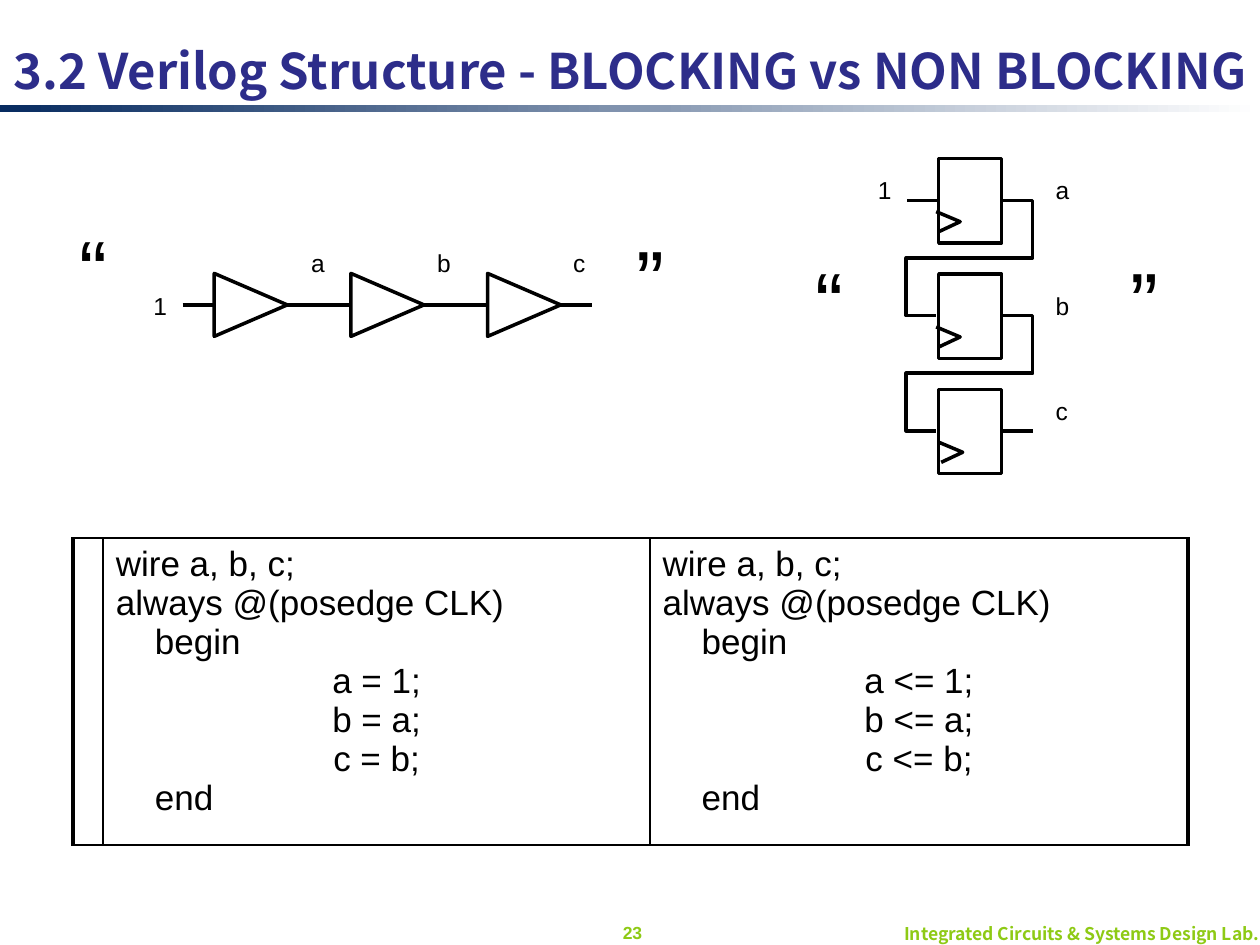
from lxml import etree
from pptx import Presentation
from pptx.dml.color import RGBColor
from pptx.enum import shapes, text
from pptx.oxml import ns
from pptx.util import Inches, Pt

COLORS = {"ink": "000000", "title": "2D2D8A", "footer": "8ECA15",
          "bar": "072B60", "paper": "FFFFFF"}
RGB = {name: RGBColor.from_string(value) for name, value in COLORS.items()}
HEADING_FONT, BODY_FONT = "Noto Sans CJK KR", "Arial"

prs = Presentation()
prs.slide_width, prs.slide_height = Inches(10), Inches(7.5)
slide = prs.slides.add_slide(prs.slide_layouts[5])


def add_label(words, left, top, width, height, size=14, font=BODY_FONT,
              color="ink", bold=False, align=text.PP_ALIGN.LEFT, wrap=True):
    box = slide.shapes.add_textbox(Inches(left), Inches(top), Inches(width), Inches(height))
    frame = box.text_frame
    frame.word_wrap = wrap
    line = frame.paragraphs[0]
    line.text, line.alignment = words, align
    line.font.size, line.font.name = Pt(size), font
    line.font.bold, line.font.color.rgb = bold, RGB[color]
    return frame


def add_wire(x1, y1, x2, y2, kind=shapes.MSO_CONNECTOR.STRAIGHT):
    wire = slide.shapes.add_connector(kind, Inches(x1), Inches(y1), Inches(x2), Inches(y2))
    wire.line.color.rgb, wire.line.width = RGB["ink"], Pt(2)
    etree.SubElement(wire._element.spPr, ns.qn("a:effectLst"))
    return wire


# Title bar and footer
bar = slide.shapes.add_shape(shapes.MSO_SHAPE.RECTANGLE, 0, Inches(0.83), Inches(10), Inches(0.06))
bar.shadow.inherit = False
bar.line.fill.background()
bar.fill.gradient()
bar.fill.gradient_angle = 0
for stop, color in zip(bar.fill.gradient_stops, ("bar", "paper")):
    stop.color.rgb = RGB[color]

lab = add_label("Integrated Circuits & Systems Design Lab.", 0.13, 7.31, 9.96, 0.19, 10,
                HEADING_FONT, "footer", True, text.PP_ALIGN.RIGHT, wrap=False)
lab.vertical_anchor = text.MSO_ANCHOR.MIDDLE
add_label("23", 4.63, 7.27, 0.78, 0.27, 10, color="footer", bold=True,
          align=text.PP_ALIGN.CENTER)

title = slide.shapes.title
title.left, title.top, title.width, title.height = 0, Inches(0.24), Inches(10), Inches(0.63)
title.text_frame.text = "3.2 Verilog Structure - BLOCKING vs NON BLOCKING"
title.text_frame.word_wrap = False
title.text_frame.auto_size = text.MSO_AUTO_SIZE.NONE
title.text_frame.vertical_anchor = text.MSO_ANCHOR.MIDDLE
heading = title.text_frame.paragraphs[0]
heading.font.size, heading.font.name = Pt(28), HEADING_FONT
heading.font.bold, heading.font.color.rgb = True, RGB["title"]

outlined = []

# Blocking: a chain of buffers
buffer_y, buffer_pitch = 2.42, 1.085
for i in range(3):
    left = 1.74 + i * buffer_pitch
    buffer = slide.shapes.add_shape(shapes.MSO_SHAPE.ISOSCELES_TRIANGLE, Inches(left),
                                    Inches(2.13), Inches(0.5), Inches(0.58))
    buffer.rotation = 90
    outlined.append(buffer)
    output_x = left + 0.54
    add_wire(output_x, buffer_y, output_x + (0.5 if i < 2 else 0.25), buffer_y)
add_wire(1.45, buffer_y, 1.7, buffer_y)
add_label("1", 1.12, 2.26, 0.33, 0.41)
for signal, left in (("a", 2.37), ("b", 3.37), ("c", 4.45)):
    add_label(signal, left, 1.92, 0.42, 0.41)

# Non-blocking: a column of flip-flops
flop_pitch = 0.915
for i, (signal, label_top, clock_x) in enumerate(
        (("a", 1.34, 7.43), ("b", 2.26, 7.43), ("c", 3.09, 7.45))):
    top = 1.26 + i * flop_pitch
    pin_y = top + 0.33
    outlined.append(slide.shapes.add_shape(shapes.MSO_SHAPE.RECTANGLE, Inches(7.45),
                                           Inches(top), Inches(0.5), Inches(0.67)))
    clock_y = top + 0.42
    clock = slide.shapes.build_freeform(Inches(clock_x), Inches(clock_y))
    clock.add_line_segments([(Inches(clock_x + 0.19), Inches(clock_y + 0.08)),
                             (Inches(clock_x + 0.02), Inches(clock_y + 0.16))], close=False)
    outlined.append(clock.convert_to_shape())
    if i < 2:
        feed = add_wire(7.96, pin_y, 7.43, pin_y + flop_pitch, shapes.MSO_CONNECTOR.ELBOW)
        geometry = feed._element.spPr.find(ns.qn("a:prstGeom"))
        geometry.set("prst", "bentConnector5")
        guides = geometry.find(ns.qn("a:avLst"))
        for n, value in enumerate((-44700, 50000, 144700), start=1):
            etree.SubElement(guides, ns.qn("a:gd"), name=f"adj{n}", fmla=f"val {value}")
    else:
        add_wire(7.95, pin_y, 8.2, pin_y)
    add_label(signal, 8.28, label_top, 0.42, 0.41)
add_wire(7.2, 1.59, 7.45, 1.59)
add_label("1", 6.87, 1.34, 0.33, 0.41)

for part in outlined:
    part.shadow.inherit = False
    part.fill.background()
    part.line.color.rgb, part.line.width = RGB["ink"], Pt(2)

for quote, left, top in (("“", 0.53, 1.67), ("”", 4.95, 1.75),
                         ("“", 6.37, 1.92), ("”", 8.87, 1.92)):
    add_label(quote, left, top, 0.42, 0.78, 48, wrap=quote == "“")

# Code comparison
code = slide.shapes.add_table(1, 3, Inches(0.58), Inches(4.27), Inches(8.84), Inches(2.43)).table
code.first_row = code.horz_banding = False
for column, width in zip(code.columns, (0.23, 4.34, 4.27)):
    column.width = Inches(width)

for i, operator in enumerate((None, "=", "<=")):
    cell = code.cell(0, i)
    widths = {"lnL": 2.25 if i == 0 else 1, "lnR": 2.25 if i == 2 else 1, "lnT": 1, "lnB": 1}
    for side, width in widths.items():
        border = etree.SubElement(cell._tc.get_or_add_tcPr(), ns.qn(f"a:{side}"), w=str(Pt(width)))
        fill = etree.SubElement(border, ns.qn("a:solidFill"))
        etree.SubElement(fill, ns.qn("a:srgbClr"), val=COLORS["ink"])
    cell.fill.background()
    if operator is None:
        continue
    assignments = [f"{target} {operator} {value};" for target, value in ("a1", "ba", "cb")]
    cell.text_frame.text = "\n".join(
        ["wire a, b, c;", "always @(posedge CLK)", "begin", *assignments, "end"])
    for line in cell.text_frame.paragraphs:
        line.font.size, line.font.name = Pt(20), BODY_FONT
        line.font.color.rgb = RGB["ink"]
        if line.text in assignments:
            line.alignment = text.PP_ALIGN.CENTER
        elif line.text in ("begin", "end"):
            line._p.get_or_add_pPr().set("marL", str(Inches(0.31)))

prs.save("out.pptx")
